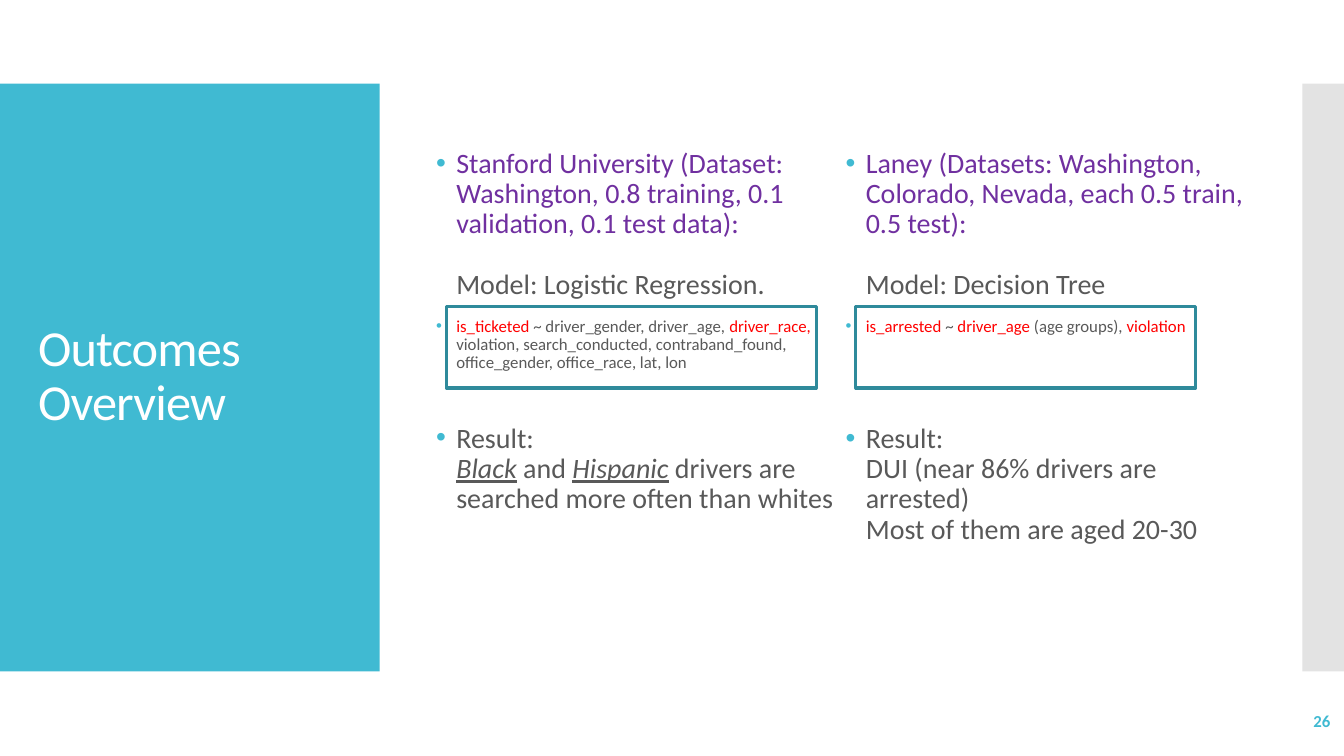
from dataclasses import dataclass, field

from lxml import etree
from pptx import Presentation, util as u
from pptx.dml.color import RGBColor
from pptx.enum import shapes, text
from pptx.oxml.ns import qn

TEAL = RGBColor(0x40, 0xBA, 0xD2)
DARK_TEAL = RGBColor(0x2F, 0x8A, 0x9B)
LIGHT_GREY = RGBColor(0xE3, 0xE3, 0xE3)
WHITE = RGBColor(0xFF, 0xFF, 0xFF)
GREY = RGBColor(0x59, 0x59, 0x59)
PURPLE = RGBColor(0x70, 0x30, 0xA0)
RED = RGBColor(0xFF, 0x00, 0x00)
FONT = "Calibri"
INDENT = u.Cm(0.51)


@dataclass
class Piece:
    words: str
    color: RGBColor = GREY
    emphasis: bool = False


@dataclass
class Item:
    pieces: list[Piece]
    size: int = 20
    before: float = 0
    bullet: bool = True


@dataclass
class Study:
    left: float
    dataset: str
    model: str
    formula: list[Piece]
    result_gap: float
    result: list[Piece] = field(default_factory=list)
    frame_width: float = 0

    def items(self) -> list[Item]:
        return [
            Item([Piece(self.dataset, PURPLE)]),
            Item([Piece(self.model)], before=22, bullet=False),
            Item(self.formula, size=12, before=12),
            Item(self.result, before=self.result_gap),
        ]


STUDIES = [
    Study(
        10.74,
        "Stanford University (Dataset: Washington, 0.8 training, 0.1 validation, 0.1 test data):",
        "Model: Logistic Regression.",
        [Piece("is_ticketed", RED), Piece(" ~ driver_gender, driver_age, "),
         Piece("driver_race, ", RED),
         Piece("violation, search_conducted, contraband_found, "
               "office_gender, office_race, lat, lon")],
        37,
        [Piece("Result:\n"), Piece("Black", emphasis=True), Piece(" and "),
         Piece("Hispanic", emphasis=True),
         Piece(" drivers are searched more often than whites")],
        9.32,
    ),
    Study(
        21.06,
        "Laney (Datasets: Washington, Colorado, Nevada, each 0.5 train, 0.5 test):",
        "Model: Decision Tree",
        [Piece("is_arrested", RED), Piece(" ~ "), Piece("driver_age", RED),
         Piece(" (age groups), "), Piece("violation", RED)],
        63,
        [Piece("Result:\nDUI (near 86% drivers are arrested)\nMost of them are aged 20-30")],
        8.56,
    ),
]


def add_rectangle(slide, left: float, top: float, width: float, height: float,
                  fill: RGBColor | None = None, line: RGBColor | None = None) -> None:
    shape = slide.shapes.add_shape(shapes.MSO_SHAPE.RECTANGLE, u.Cm(left), u.Cm(top),
                                   u.Cm(width), u.Cm(height))
    shape.shadow.inherit = False
    if fill is None:
        shape.fill.background()
    else:
        shape.fill.solid()
        shape.fill.fore_color.rgb = fill
    if line is None:
        shape.line.fill.background()
    else:
        shape.line.color.rgb = line
        shape.line.width = u.Pt(2.25)


def add_text_frame(slide, left: float, top: float, width: float, height: float,
                   anchor: text.MSO_ANCHOR = text.MSO_ANCHOR.MIDDLE):
    box = slide.shapes.add_textbox(u.Cm(left), u.Cm(top), u.Cm(width), u.Cm(height))
    frame = box.text_frame
    frame.word_wrap = True
    frame.vertical_anchor = anchor
    return frame


def set_font(paragraph, size: int, color: RGBColor | None = None) -> None:
    paragraph.font.name = FONT
    paragraph.font.size = u.Pt(size)
    if color is not None:
        paragraph.font.color.rgb = color


def set_bullet(paragraph, visible: bool) -> None:
    properties = paragraph._p.get_or_add_pPr()
    properties.set("marL", str(INDENT))
    properties.set("indent", str(-INDENT if visible else 0))
    if not visible:
        etree.SubElement(properties, qn("a:buNone"))
        return
    bullet_color = etree.SubElement(properties, qn("a:buClr"))
    etree.SubElement(bullet_color, qn("a:srgbClr"), val=str(TEAL))
    etree.SubElement(properties, qn("a:buFont"), typeface="Arial")
    etree.SubElement(properties, qn("a:buChar"), char="•")


def fill_paragraph(paragraph, item: Item) -> None:
    set_bullet(paragraph, item.bullet)
    paragraph.line_spacing = 0.9
    paragraph.space_before = u.Pt(item.before)
    set_font(paragraph, item.size)
    for piece in item.pieces:
        for number, line in enumerate(piece.words.split("\n")):
            if number:
                paragraph.add_line_break()
            if not line:
                continue
            run = paragraph.add_run()
            run.text = line
            run.font.color.rgb = piece.color
            if piece.emphasis:
                run.font.italic = True
                run.font.underline = True


def add_study(slide, study: Study) -> None:
    frame = add_text_frame(slide, study.left, 2.39, 10.92, 12.7, text.MSO_ANCHOR.TOP)
    frame.margin_top = u.Cm(1.37)
    for number, item in enumerate(study.items()):
        paragraph = frame.add_paragraph() if number else frame.paragraphs[0]
        fill_paragraph(paragraph, item)
    add_rectangle(slide, study.left + 0.51, 7.72, study.frame_width, 2.06, line=DARK_TEAL)


def main() -> None:
    presentation = Presentation()
    presentation.slide_width = u.Cm(33.87)
    presentation.slide_height = u.Cm(19.05)
    slide = presentation.slides.add_slide(presentation.slide_layouts[6])

    # Side panels
    add_rectangle(slide, 0, 2.11, 9.57, 14.81, fill=TEAL)
    add_rectangle(slide, 32.82, 2.11, 1.05, 14.81, fill=LIGHT_GREY)

    # Title
    title = add_text_frame(slide, 0.71, 3.12, 8.18, 12.78).paragraphs[0]
    title.line_spacing = 0.9
    set_font(title, 36, WHITE)
    title_run = title.add_run()
    title_run.text = "Outcomes Overview"
    title_run.font._element.set("spc", "-60")

    # Two studies, each with a framed formula
    for study in STUDIES:
        add_study(slide, study)

    # Slide number
    number = add_text_frame(slide, 29.54, 17.65, 4.24, 1.02).paragraphs[0]
    number.text = "26"
    number.alignment = text.PP_ALIGN.RIGHT
    set_font(number, 12, TEAL)
    number.font.bold = True

    presentation.save("out.pptx")


if __name__ == "__main__":
    main()
